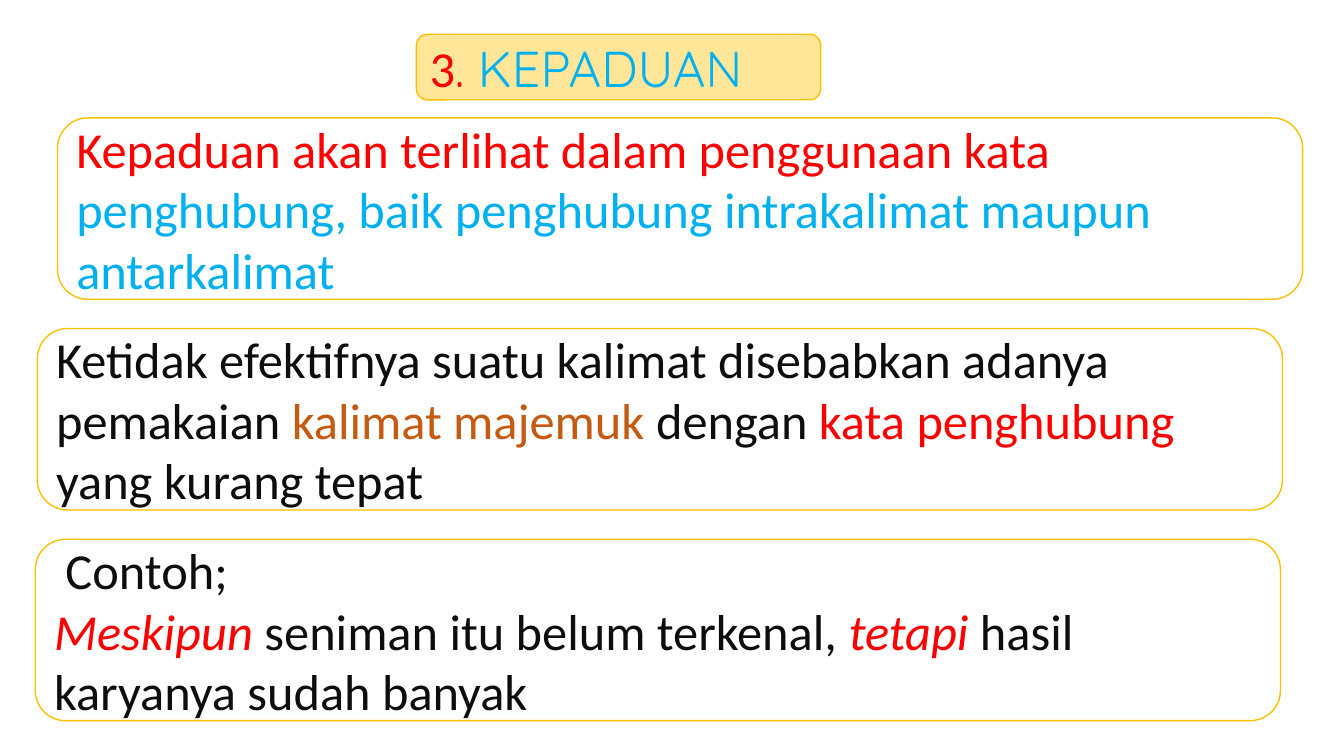
from pptx import Presentation
from pptx.dml.color import RGBColor
from pptx.enum.shapes import MSO_SHAPE
from pptx.enum.text import MSO_ANCHOR, PP_ALIGN
from pptx.util import Inches, Pt

RED, BLUE, BLACK, ORANGE = "FF0000", "00B0F0", "0D0D0D", "C55A11"
GOLD, CREAM, WHITE = "FFC000", "FFE699", "FFFFFF"


def rgb(value):
    return RGBColor.from_string(value)


def add_box(s, left, top, width, height, fill, paragraphs):
    sp = s.shapes.add_shape(MSO_SHAPE.ROUNDED_RECTANGLE, Inches(left),
                            Inches(top), Inches(width), Inches(height))
    sp.shadow.inherit = False
    sp.fill.solid()
    sp.fill.fore_color.rgb = rgb(fill)
    sp.line.color.rgb = rgb(GOLD)
    sp.line.width = Pt(1)
    tf = sp.text_frame
    tf.word_wrap = True
    tf.vertical_anchor = MSO_ANCHOR.MIDDLE
    for i, runs in enumerate(paragraphs):
        p = tf.add_paragraph() if i else tf.paragraphs[0]
        p.alignment = PP_ALIGN.LEFT
        for text, color, extra in runs:
            r = p.add_run()
            r.text = text
            r.font.color.rgb = rgb(color)
            for name, value in {"size": Pt(36), "name": "Calibri", **extra}.items():
                setattr(r.font, name, value)


prs = Presentation()
prs.slide_width, prs.slide_height = Inches(13.33), Inches(7.5)
s = prs.slides.add_slide(prs.slide_layouts[6])

# Heading
quicksand = {"name": "Quicksand"}
add_box(s, 4.13, 0.34, 4.01, 0.65, CREAM,
        [[("3", RED, {}), (". ", RED, quicksand), ("KEPADUAN", BLUE, quicksand)]])

# Text boxes: left edge and paragraphs, from top to bottom
italic = {"italic": True}
boxes = [
    (0.57, [[("Kepaduan akan terlihat dalam penggunaan kata ", RED, {}),
             ("penghubung, baik penghubung intrakalimat maupun antarkalimat", BLUE, {})]]),
    (0.37, [[("Ketidak efektifnya suatu kalimat disebabkan adanya pemakaian ", BLACK, {}),
             ("kalimat majemuk ", ORANGE, {}),
             ("dengan ", BLACK, {}),
             ("kata penghubung ", RED, {}),
             ("yang kurang tepat", BLACK, {})]]),
    (0.35, [[(" Contoh;", BLACK, {})],
            [("Meskipun ", RED, italic),
             ("seniman itu belum terkenal, ", BLACK, {}),
             ("tetapi ", RED, italic),
             ("hasil karyanya sudah banyak", BLACK, {})]]),
]
for i, (left, paragraphs) in enumerate(boxes):
    add_box(s, left, 1.17 + i * 2.09, 12.35, 1.8, WHITE, paragraphs)

prs.save("out.pptx")
